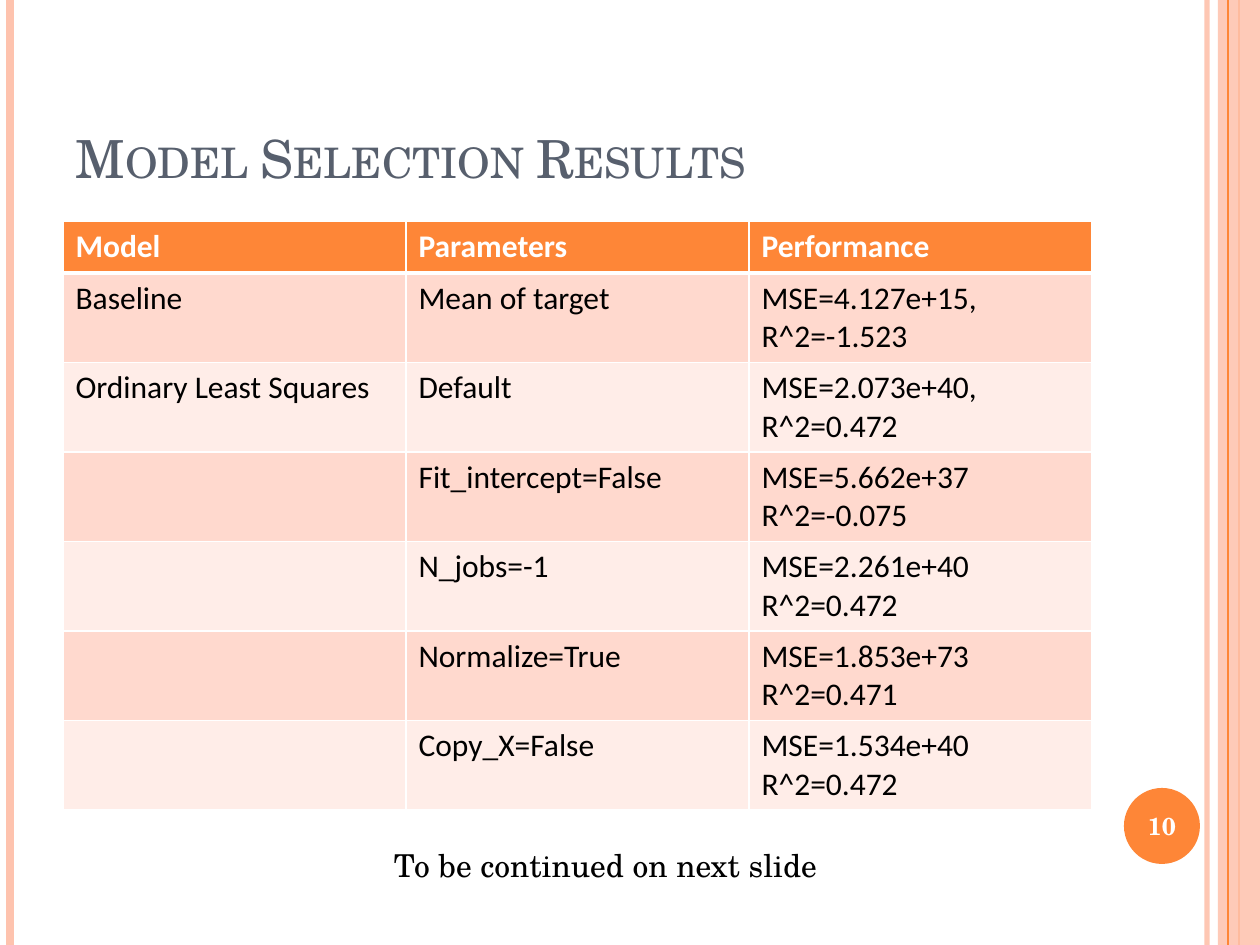
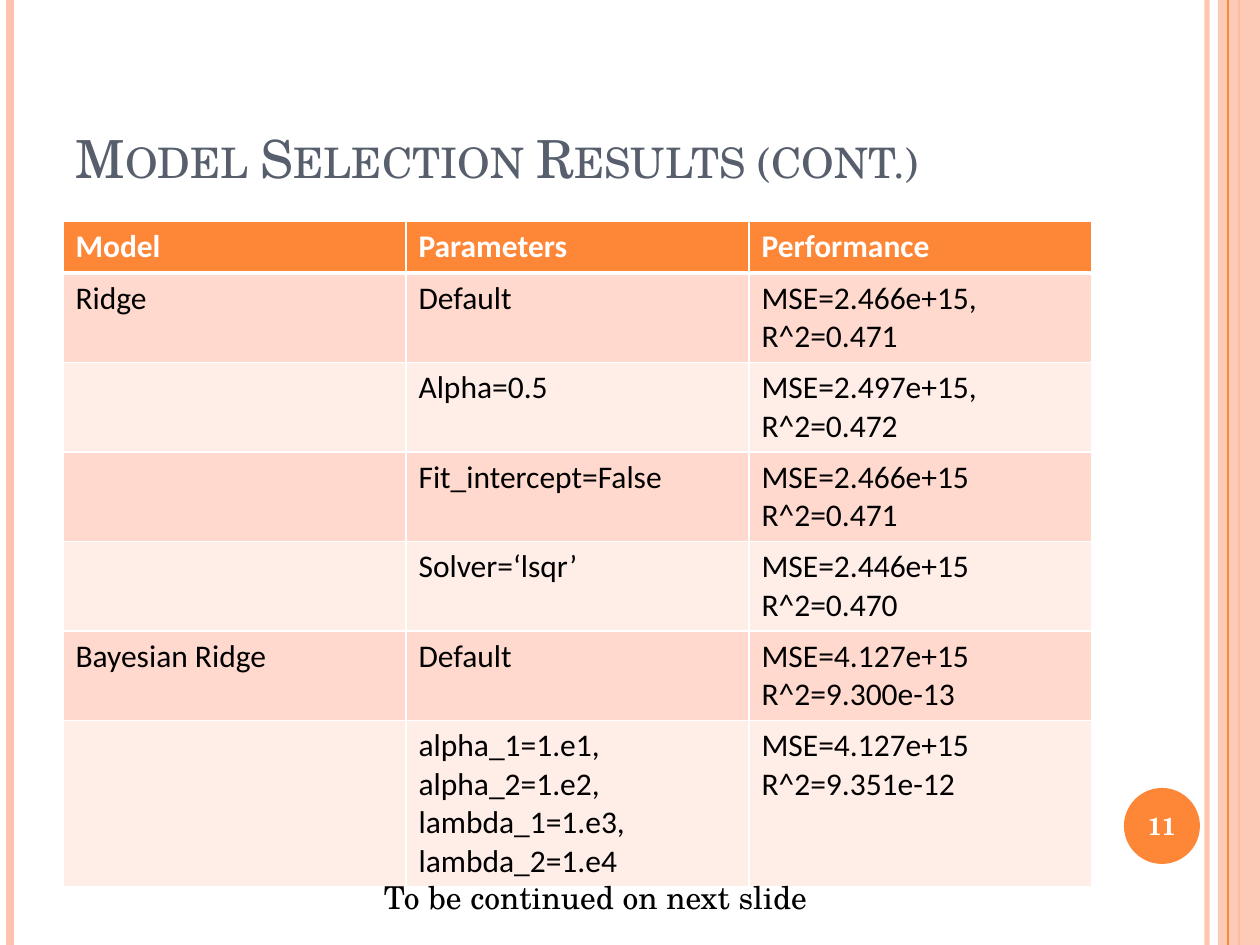
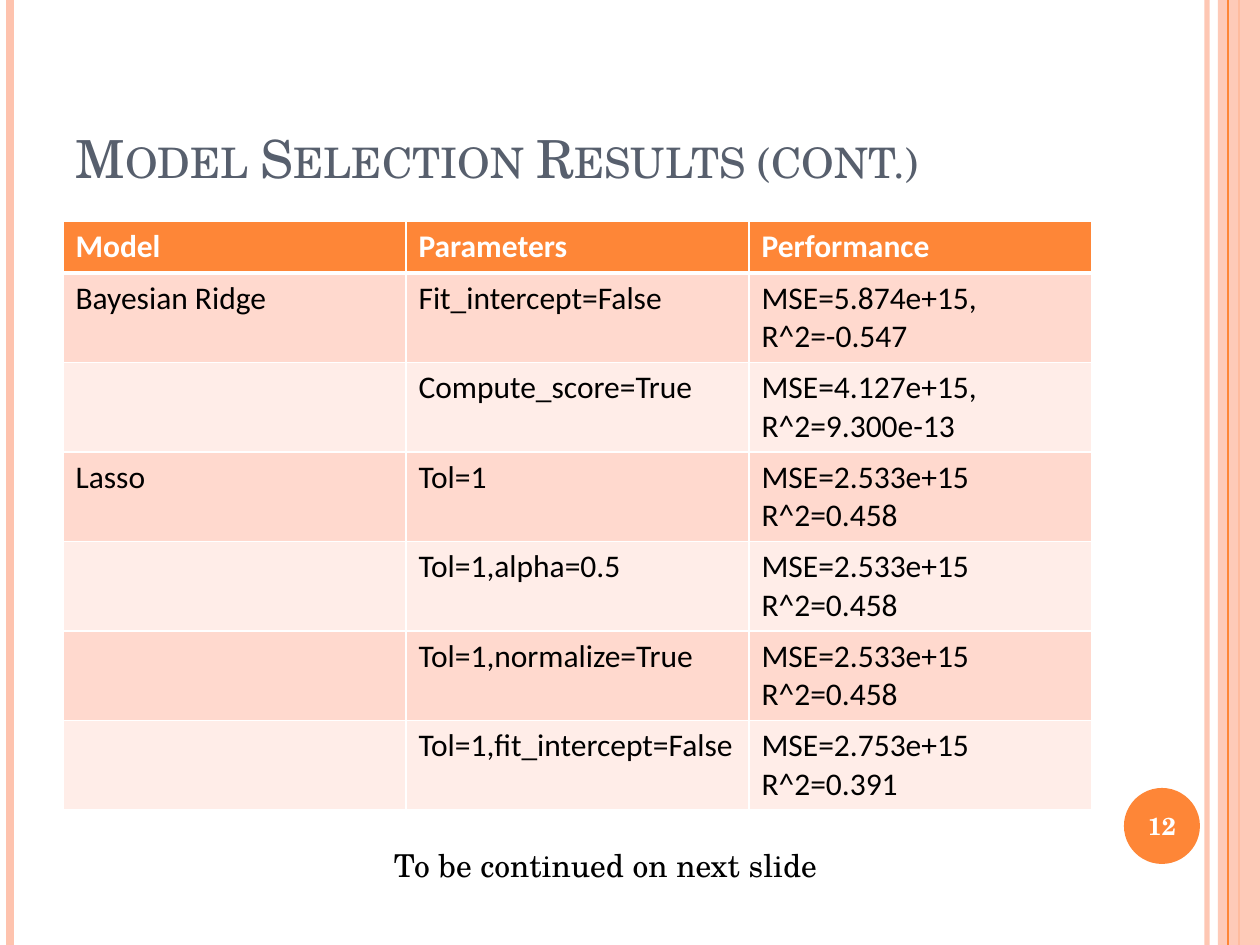
"""Build three slides of model selection results."""
from lxml import etree
from pptx import Presentation
from pptx.dml.color import RGBColor
from pptx.enum.shapes import MSO_CONNECTOR, MSO_SHAPE
from pptx.enum.text import MSO_ANCHOR, MSO_AUTO_SIZE, PP_ALIGN
from pptx.oxml.ns import qn
from pptx.util import Pt

LINE = MSO_CONNECTOR.STRAIGHT
RECT, OVAL = MSO_SHAPE.RECTANGLE, MSO_SHAPE.OVAL
MIDDLE, BOTTOM = MSO_ANCHOR.MIDDLE, MSO_ANCHOR.BOTTOM
FIXED, GROW = MSO_AUTO_SIZE.NONE, MSO_AUTO_SIZE.SHAPE_TO_FIT_TEXT
LEFT, CENTER = PP_ALIGN.LEFT, PP_ALIGN.CENTER

PX = 914400 // 126
WIDE, HIGH = 1260, 945
SERIF, SANS = "TeX Gyre Schola", "Calibri"
HEX = {
    "orange": "FE8637", "peach": "FEC3AE", "slate": "575F6D",
    "white": "FFFFFF", "black": "000000", "dark": "FFD9CE", "light": "FFEDE8",
}
HEAD = ("Model", "Parameters", "Performance")
ROW, COL = 52, 343
NEXT = "To be continued on next slide"

SLIDES = [
    {
        "title": "Model Selection Results", "page": "10",
        "high": 581, "note": (378, 840),
        "rows": [
            ("Baseline", "Mean of target", "MSE=4.127e+15, R^2=-1.523"),
            ("Ordinary Least Squares", "Default", "MSE=2.073e+40, R^2=0.472"),
            ("", "Fit_intercept=False", "MSE=5.662e+37\nR^2=-0.075"),
            ("", "N_jobs=-1", "MSE=2.261e+40\nR^2=0.472"),
            ("", "Normalize=True", "MSE=1.853e+73\nR^2=0.471"),
            ("", "Copy_X=False", "MSE=1.534e+40\nR^2=0.472"),
        ],
    },
    {
        "title": "Model Selection Results (cont.)", "page": "11",
        "high": 656, "note": (368, 872),
        "rows": [
            ("Ridge", "Default", "MSE=2.466e+15, R^2=0.471"),
            ("", "Alpha=0.5", "MSE=2.497e+15, R^2=0.472"),
            ("", "Fit_intercept=False", "MSE=2.466e+15\nR^2=0.471"),
            ("", "Solver=‘lsqr’", "MSE=2.446e+15\nR^2=0.470"),
            ("Bayesian Ridge", "Default", "MSE=4.127e+15\nR^2=9.300e-13"),
            ("", "alpha_1=1.e1, alpha_2=1.e2, lambda_1=1.e3, lambda_2=1.e4",
             "MSE=4.127e+15\nR^2=9.351e-12"),
        ],
    },
    {
        "title": "Model Selection Results (cont.)", "page": "12",
        "high": 581, "note": (378, 840),
        "rows": [
            ("Bayesian Ridge", "Fit_intercept=False", "MSE=5.874e+15, R^2=-0.547"),
            ("", "Compute_score=True", "MSE=4.127e+15, R^2=9.300e-13"),
            ("Lasso", "Tol=1", "MSE=2.533e+15\nR^2=0.458"),
            ("", "Tol=1,alpha=0.5", "MSE=2.533e+15\nR^2=0.458"),
            ("", "Tol=1,normalize=True", "MSE=2.533e+15\nR^2=0.458"),
            ("", "Tol=1,fit_intercept=False", "MSE=2.753e+15\nR^2=0.391"),
        ],
    },
]

BANDS = [
    ("line", 1207, 3, "peach", 93),
    ("line", 10, 4.5, "peach", 100),
    ("line", 1239, 1.5, "orange", 100),
    ("rect", 1218, 42, "peach", 87),
    ("line", 1228, 0.75, "orange", 100),
]


def write(frame, text, size, font, color, bold=False, align=LEFT):
    for num, part in enumerate(text.split("\n")):
        para = frame.add_paragraph() if num else frame.paragraphs[0]
        para.alignment = align
        run = para.add_run()
        run.text = part
        run.font.size, run.font.name, run.font.bold = Pt(size), font, bold
        run.font.color.rgb = RGBColor.from_string(HEX[color])


def paint(fill, color, alpha=100):
    fill.solid()
    fill.fore_color.rgb = RGBColor.from_string(HEX[color])
    if alpha < 100:
        tone = fill._xPr.find(".//" + qn("a:srgbClr"))
        etree.SubElement(tone, qn("a:alpha"), val=str(alpha * 1000))


deck = Presentation()
deck.slide_width, deck.slide_height = WIDE * PX, HIGH * PX

for data in SLIDES:
    slide = deck.slides.add_slide(deck.slide_layouts[5])
    shapes = slide.shapes

    for kind, left, size, color, alpha in BANDS:
        if kind == "line":
            band = shapes.add_connector(LINE, left * PX, 0, left * PX, HIGH * PX)
            band.line.width = Pt(size)
            paint(band.line.fill, color, alpha)
            etree.SubElement(band._element.spPr, qn("a:effectLst"))
        else:
            band = shapes.add_shape(RECT, left * PX, 0, size * PX, HIGH * PX)
            band.shadow.inherit = False
            band.line.fill.background()
            paint(band.fill, color, alpha)

    disc = shapes.add_shape(OVAL, 1124 * PX, 788 * PX, 76 * PX, 76 * PX)
    disc.shadow.inherit = False
    disc.line.fill.background()
    paint(disc.fill, "orange")

    title = shapes.title
    title.left, title.top = 63 * PX, 38 * PX
    title.width, title.height = 1029 * PX, 157 * PX
    frame = title.text_frame
    frame.auto_size, frame.vertical_anchor = FIXED, BOTTOM
    write(frame, data["title"], 30, SERIF, "slate")
    frame.paragraphs[0].runs[0].font._element.set("cap", "small")

    count = len(data["rows"]) + 1
    grid = shapes.add_table(count, len(HEAD), 63 * PX, 221 * PX,
                            COL * len(HEAD) * PX, ROW * count * PX)
    grid.height = data["high"] * PX
    for row, texts in enumerate([HEAD] + data["rows"]):
        for col, text in enumerate(texts):
            cell = grid.table.cell(row, col)
            prop = cell._tc.get_or_add_tcPr()
            for side in "LRTB":
                thick = (row, side) in ((0, "B"), (1, "T"))
                edge = etree.SubElement(prop, qn("a:ln" + side),
                                        w=str(Pt(3 if thick else 1)))
                solid = etree.SubElement(edge, qn("a:solidFill"))
                etree.SubElement(solid, qn("a:srgbClr"), val=HEX["white"])
            paint(cell.fill, "orange" if row == 0 else "dark" if row % 2 else "light")
            if text:
                write(cell.text_frame, text, 18, SANS,
                      "black" if row else "white", row == 0)

    page = shapes.add_textbox(1120 * PX, 790 * PX, 84 * PX, 72 * PX)
    page.text_frame.word_wrap = True
    page.text_frame.vertical_anchor = MIDDLE
    write(page.text_frame, data["page"], 14, SERIF, "white", True, CENTER)

    left, top = data["note"]
    note = shapes.add_textbox(left * PX, top * PX, 455 * PX, 50 * PX)
    note.text_frame.word_wrap = False
    note.text_frame.auto_size = GROW
    write(note.text_frame, NEXT, 18, SERIF, "black", align=CENTER)

deck.save("out.pptx")
